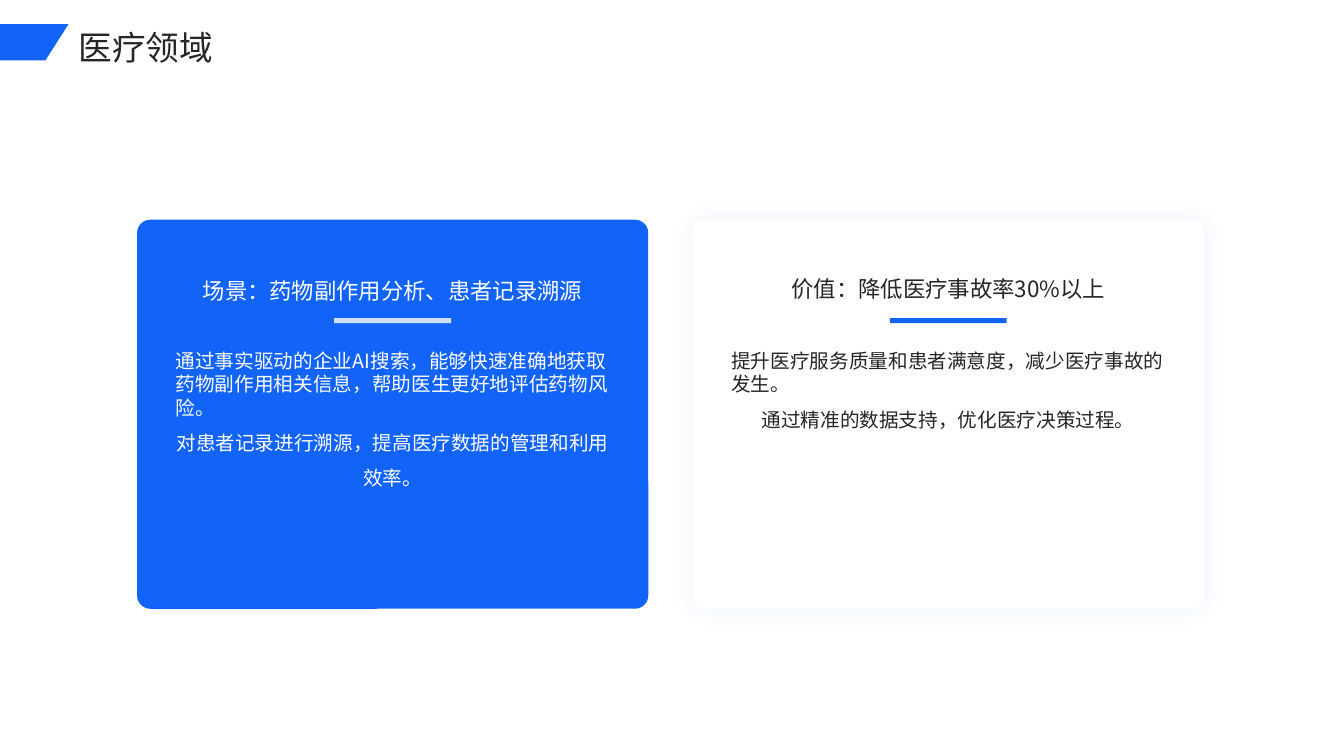
from lxml import etree
from pptx import Presentation
from pptx.dml.color import RGBColor
from pptx.enum.shapes import MSO_SHAPE
from pptx.enum.text import MSO_ANCHOR, MSO_AUTO_SIZE, PP_ALIGN
from pptx.oxml.ns import qn
from pptx.util import Inches, Pt

ROUNDED, RECTANGLE = MSO_SHAPE.ROUNDED_RECTANGLE, MSO_SHAPE.RECTANGLE
LEFT, CENTER = PP_ALIGN.LEFT, PP_ALIGN.CENTER
TOP, BOTTOM = MSO_ANCHOR.TOP, MSO_ANCHOR.BOTTOM
GROW = MSO_AUTO_SIZE.SHAPE_TO_FIT_TEXT

BLUE = RGBColor(0x12, 0x63, 0xF8)
PALE_BLUE = RGBColor(0xD0, 0xE0, 0xFE)
WHITE = RGBColor(0xFF, 0xFF, 0xFF)
DARK = RGBColor(0x26, 0x26, 0x26)
FONT = "Noto Sans CJK SC"

presentation = Presentation()
presentation.slide_width, presentation.slide_height = Inches(13.33), Inches(7.5)
slide = presentation.slides.add_slide(presentation.slide_layouts[6])


def add_block(kind, left, top, width, height, color):
    shape = slide.shapes.add_shape(
        kind, Inches(left), Inches(top), Inches(width), Inches(height))
    shape.shadow.inherit = False
    shape.fill.solid()
    shape.fill.fore_color.rgb = color
    shape.line.fill.background()
    return shape


def add_text(left, top, width, height, lines, size, color, anchor=TOP):
    """Each line is (text, alignment, line spacing)."""
    box = slide.shapes.add_textbox(
        Inches(left), Inches(top), Inches(width), Inches(height))
    frame = box.text_frame
    frame.word_wrap = True
    frame.vertical_anchor = anchor
    for index, (text, alignment, spacing) in enumerate(lines):
        paragraph = frame.add_paragraph() if index else frame.paragraphs[0]
        paragraph.text = text
        paragraph.alignment = alignment
        paragraph.line_spacing = spacing
        paragraph.font.size = Pt(size)
        paragraph.font.name = FONT
        paragraph.font.color.rgb = color
        # East Asian typeface
        properties = paragraph._p.pPr.find(qn("a:defRPr"))
        etree.SubElement(properties, qn("a:ea")).set("typeface", FONT)
    return frame


# Two cards: fill, text and bar colours, heading, body
CARD_LEFT, CARD_TOP, CARD_WIDTH, CARD_HEIGHT = 1.36, 2.18, 5.07, 3.86
CARD_STEP = 5.51
TEXT_WIDTH, BAR_WIDTH = 4.5, 1.16
cards = [
    (BLUE, WHITE, PALE_BLUE, 3.07, "场景：药物副作用分析、患者记录溯源",
     "通过事实驱动的企业AI搜索，能够快速准确地获取药物副作用相关信息，帮助医生更好地评估药物风险。",
     "对患者记录进行溯源，提高医疗数据的管理和利用效率。"),
    (WHITE, DARK, BLUE, 3.05, "价值：降低医疗事故率30%以上",
     "提升医疗服务质量和患者满意度，减少医疗事故的发生。",
     "通过精准的数据支持，优化医疗决策过程。"),
]
for column, (fill, ink, bar, heading_bottom, heading, first, second) in enumerate(cards):
    left = CARD_LEFT + column * CARD_STEP
    middle = left + CARD_WIDTH / 2
    text_left = middle - TEXT_WIDTH / 2
    card = add_block(ROUNDED, left, CARD_TOP, CARD_WIDTH, CARD_HEIGHT, fill)
    card.adjustments[0] = 0.034
    if fill == WHITE:
        # Soft blue glow around the white card
        effects = card._element.spPr.find(qn("a:effectLst"))
        shadow = etree.SubElement(effects, qn("a:outerShdw"),
                                  blurRad=str(Pt(15)), dist="0", algn="ctr", rotWithShape="0")
        tint = etree.SubElement(shadow, qn("a:srgbClr"), val=str(BLUE))
        etree.SubElement(tint, qn("a:alpha"), val="8000")
    add_text(text_left, 3.41, TEXT_WIDTH, 2.28,
             [(first, LEFT, 1.0), (second, CENTER, 1.5)], 14, ink)
    add_text(text_left, heading_bottom - 0.8, TEXT_WIDTH, 0.8,
             [(heading, CENTER, 1.3)], 16, ink, BOTTOM)
    add_block(RECTANGLE, middle - BAR_WIDTH / 2, 3.155, BAR_WIDTH, 0.05, bar)

# Slanted title marker
builder = slide.shapes.build_freeform(0, Inches(0.24))
builder.add_line_segments(
    [(Inches(x), Inches(y)) for x, y in [(0.68, 0.24), (0.45, 0.6), (0, 0.6)]], close=True)
marker = builder.convert_to_shape()
marker.shadow.inherit = False
marker.fill.solid()
marker.fill.fore_color.rgb = BLUE
marker.line.fill.background()

# Title
title = add_text(0.68, 0.18, 11.71, 0.46, [("医疗领域", LEFT, 1.1)], 24, DARK)
title.auto_size = GROW

presentation.save("out.pptx")
